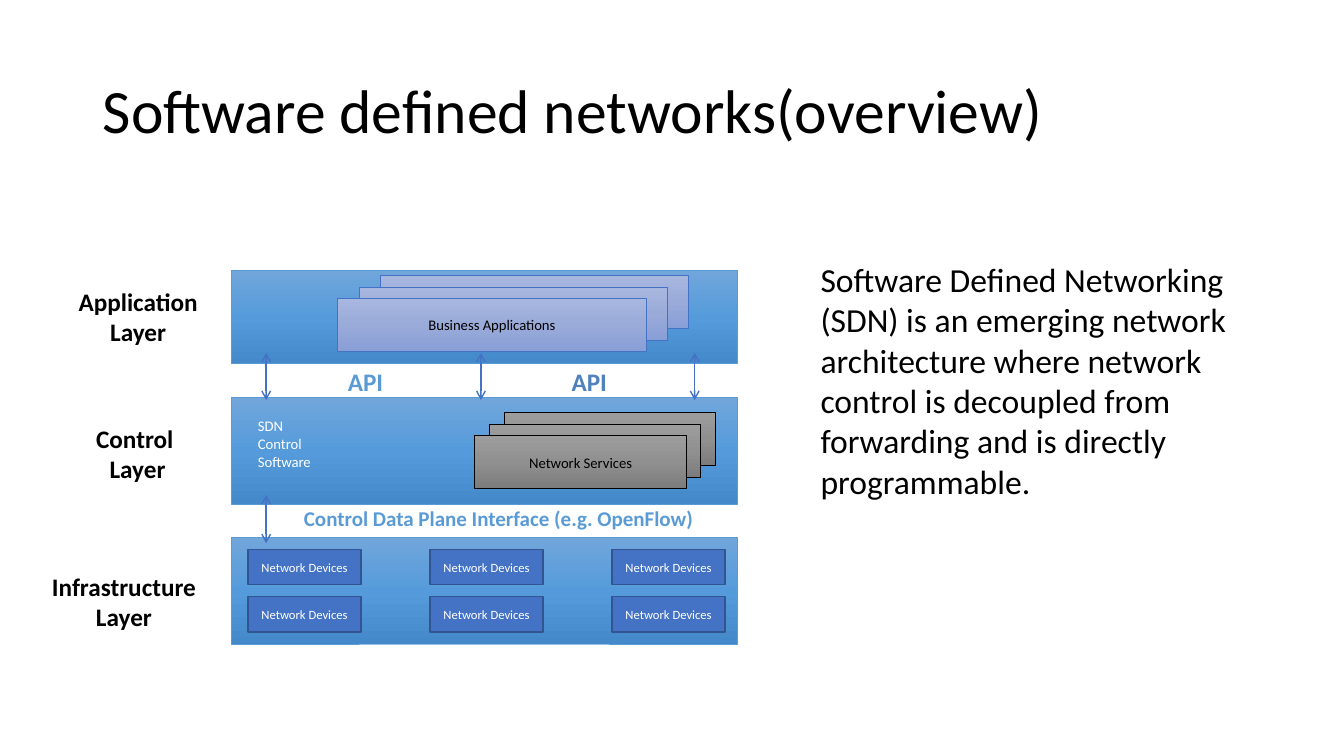
from copy import deepcopy

from lxml import etree
from pptx import Presentation
from pptx.dml.color import RGBColor
from pptx.enum import shapes, text
from pptx.oxml.ns import qn
from pptx.util import Inches, Pt

BLACK = RGBColor(0x00, 0x00, 0x00)
WHITE = RGBColor(0xFF, 0xFF, 0xFF)
SKY = RGBColor(0x5B, 0x9B, 0xD5)
API_BLUE = RGBColor(0x4F, 0x81, 0xBD)
ROYAL = RGBColor(0x44, 0x72, 0xC4)
DEVICE_EDGE = RGBColor(0x32, 0x54, 0x91)
LAYER_SHADES = (RGBColor(0x71, 0xA6, 0xDB), RGBColor(0x55, 0x9B, 0xDB), RGBColor(0x44, 0x8A, 0xCA))
APP_SHADES = (RGBColor(0xA8, 0xB7, 0xDF), RGBColor(0x9A, 0xAB, 0xD9), RGBColor(0x88, 0x9E, 0xD7))
SERVICE_SHADES = (RGBColor(0x9D, 0x9D, 0x9D), RGBColor(0x90, 0x90, 0x90), RGBColor(0x7C, 0x7C, 0x7C))
NARROW_INSETS = (0.07, 0.04)

LEFT = text.PP_ALIGN.LEFT
CENTER = text.PP_ALIGN.CENTER


def write(frame, words, size, color=BLACK, bold=False, align=LEFT, spacing=None,
          anchor=text.MSO_ANCHOR.TOP, wrap=True, insets=(0.1, 0.05)):
    frame.word_wrap = wrap
    frame.vertical_anchor = anchor
    frame.margin_left = frame.margin_right = Inches(insets[0])
    frame.margin_top = frame.margin_bottom = Inches(insets[1])
    frame.text = words
    for paragraph in frame.paragraphs:
        paragraph.alignment = align
        if spacing:
            paragraph.line_spacing = spacing
        font = paragraph.font
        font.name = "Calibri"
        font.size = Pt(size)
        font.bold = bold
        font.color.rgb = color


def add_label(slide, box, words, size, **style):
    label = slide.shapes.add_textbox(*map(Inches, box))
    write(label.text_frame, words, size, **style)
    label.text_frame.auto_size = text.MSO_AUTO_SIZE.SHAPE_TO_FIT_TEXT


def add_block(parent, box, edge, edge_width=0.5):
    block = parent.shapes.add_shape(shapes.MSO_SHAPE.RECTANGLE, *map(Inches, box))
    block.shadow.inherit = False
    block.line.color.rgb = edge
    block.line.width = Pt(edge_width)
    return block


def shade(block, colors):
    block.fill.gradient()
    block.fill.gradient_angle = 270
    stop_list = block._element.spPr.find(".//" + qn("a:gsLst"))
    stop_list.insert(1, deepcopy(stop_list[0]))
    for stop, color, position in zip(block.fill.gradient_stops, colors, (0, 0.5, 1)):
        stop.color.rgb = color
        stop.position = position


def add_stack(slide, lefts, tops, width, words, shades, edge, insets=(0.1, 0.05)):
    stack = slide.shapes.add_group_shape()
    for left, top in zip(lefts, tops):
        card = add_block(stack, (left, top, width, 0.53), edge)
        shade(card, shades)
    write(card.text_frame, words, 10.5, align=CENTER,
          anchor=text.MSO_ANCHOR.MIDDLE, insets=insets)


def add_device(slide, left, top):
    device = add_block(slide, (left, top, 1.12, 0.35), DEVICE_EDGE, 1)
    device.fill.solid()
    device.fill.fore_color.rgb = ROYAL
    write(device.text_frame, "Network Devices", 9, color=WHITE, align=CENTER,
          anchor=text.MSO_ANCHOR.MIDDLE)


def add_exchange(slide, x, top, bottom):
    exchange = slide.shapes.add_connector(
        shapes.MSO_CONNECTOR.STRAIGHT, Inches(x), Inches(top), Inches(x), Inches(bottom))
    exchange.line.color.rgb = ROYAL
    exchange.line.width = Pt(1)
    for end in ("a:headEnd", "a:tailEnd"):
        etree.SubElement(exchange.line._get_or_add_ln(), qn(end), type="arrow")
    etree.SubElement(exchange._element.spPr, qn("a:effectLst"))


def add_title(slide, words):
    title = slide.shapes.title
    title.left, title.top, title.width, title.height = map(Inches, (0.92, 0.4, 11.5, 1.45))
    write(title.text_frame, words, 44, spacing=0.9, anchor=text.MSO_ANCHOR.MIDDLE)
    title.text_frame.auto_size = text.MSO_AUTO_SIZE.NONE


def main():
    deck = Presentation()
    deck.slide_width, deck.slide_height = Inches(13.33), Inches(7.5)
    slide = deck.slides.add_slide(deck.slide_layouts[5])
    add_title(slide, "Software defined networks(overview)")

    for top, height in ((2.68, 0.93), (3.94, 1.06), (5.33, 1.06)):
        shade(add_block(slide, (2.29, top, 5.02, height), SKY), LAYER_SHADES)

    add_stack(slide, (3.77, 3.56, 3.35), (2.73, 2.85, 2.96), 3.06,
              "Business Applications", APP_SHADES, ROYAL)
    add_stack(slide, (5, 4.85, 4.71), (4.09, 4.21, 4.32), 2.1,
              "Network Services", SERVICE_SHADES, BLACK, NARROW_INSETS)
    add_label(slide, (2.46, 4.09, 0.78, 0.63), "SDN\nControl\nSoftware", 10.5,
              color=WHITE, wrap=False)

    for x in (2.64, 4.77, 6.89):
        add_exchange(slide, x, 3.5, 3.97)
    for left, color in ((3.34, SKY), (5.56, API_BLUE)):
        add_label(slide, (left, 3.59, 0.57, 0.38), "API", 18, color=color, bold=True,
                  align=CENTER, wrap=False, insets=NARROW_INSETS)

    for top in (5.45, 5.92):
        for column in range(3):
            add_device(slide, 2.46 + 1.805 * column, top)

    for box, words in (
        ((0.58, 2.79, 1.58, 0.71), "Application\nLayer"),
        ((0.78, 4.15, 1.17, 0.71), "Control \nLayer"),
        ((0.31, 5.62, 1.84, 0.71), "Infrastructure\nLayer"),
    ):
        add_label(slide, box, words, 18, bold=True, align=CENTER, wrap=False)

    add_label(slide, (2.64, 4.97, 4.61, 0.33), "Control Data Plane Interface (e.g. OpenFlow)",
              15, color=SKY, bold=True, align=CENTER, insets=NARROW_INSETS)
    add_exchange(slide, 2.64, 4.91, 5.39)
    add_label(slide, (8.04, 2.52, 4.54, 2.52),
              "Software Defined Networking (SDN) is an emerging network architecture where "
              "network control is decoupled from forwarding and is directly programmable.", 24)

    deck.save("out.pptx")


if __name__ == "__main__":
    main()
